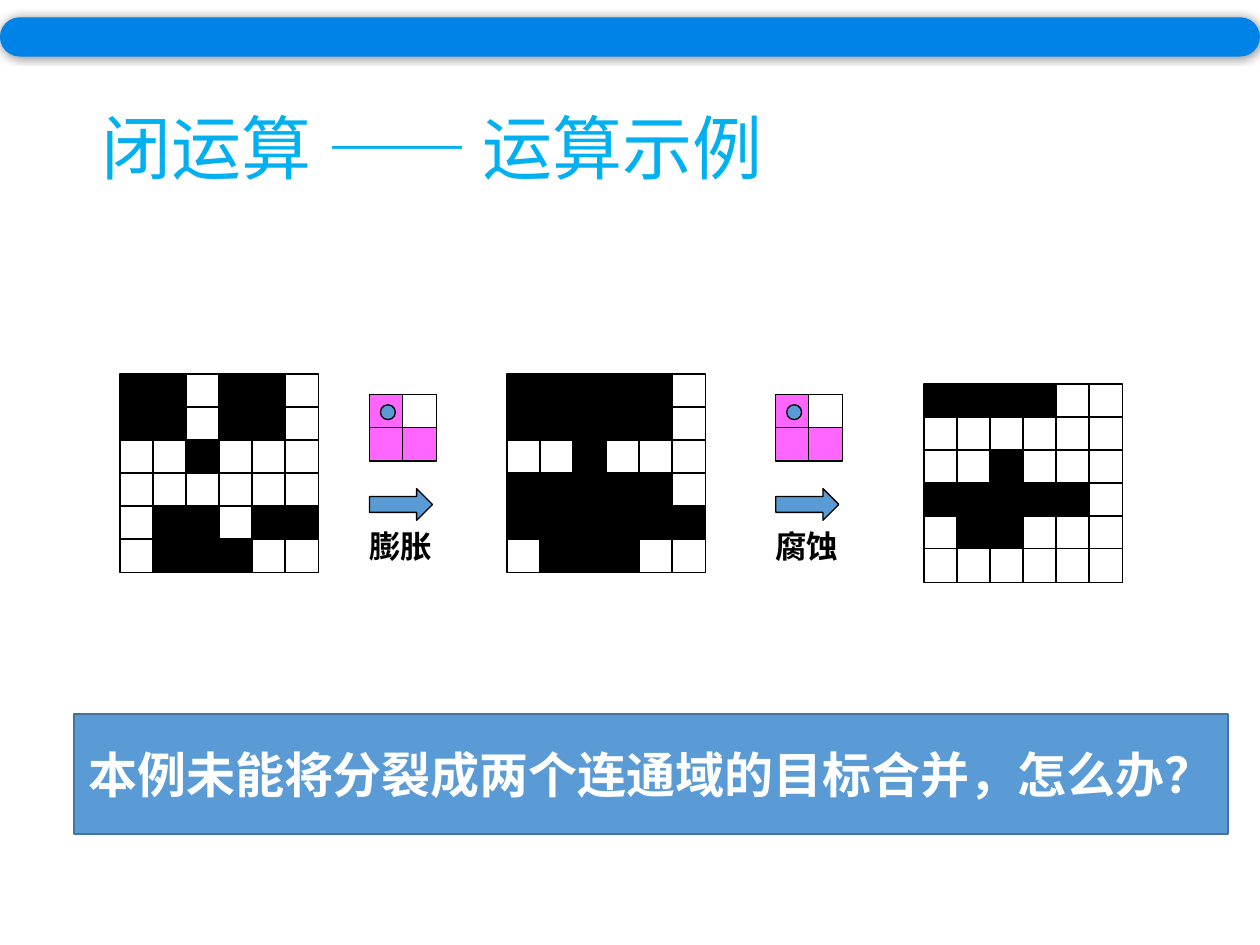
from lxml import etree
from pptx import Presentation
from pptx.dml.color import RGBColor
from pptx.enum.shapes import MSO_SHAPE
from pptx.enum.text import MSO_ANCHOR, MSO_AUTO_SIZE, PP_ALIGN
from pptx.oxml.ns import qn
from pptx.util import Cm, Pt

RECT, ROUND = MSO_SHAPE.RECTANGLE, MSO_SHAPE.ROUNDED_RECTANGLE
OVAL, ARROW = MSO_SHAPE.OVAL, MSO_SHAPE.RIGHT_ARROW
MIDDLE, LEFT, CENTER = MSO_ANCHOR.MIDDLE, PP_ALIGN.LEFT, PP_ALIGN.CENTER
NO_FIT = MSO_AUTO_SIZE.NONE

SANS, SERIF = "Noto Sans CJK SC", "Times New Roman"
BLACK, WHITE, BLUE, PINK = "000000", "FFFFFF", "5B9BD5", "FF66FF"
CELL, PITCH = 0.68, 0.665
COLORS = {"#": BLACK, ".": WHITE, "P": PINK}

SOURCE = ["##.##.", "##.##.", "..#...", "......", ".##.##", ".###.."]
DILATED = ["#####.", "#####.", "..#...", "#####.", "######", ".###.."]
CLOSED = ["####..", "......", "..#...", "#####.", ".##...", "......"]
KERNEL = ["P.", "PP"]


def rgb(color):
    """Turn a hex string into a colour."""
    return RGBColor.from_string(color)


def add_box(shapes, kind, x, y, w, h, fill, line=None, weight=0.75):
    """Add a flat preset shape, measured in centimetres."""
    s = shapes.add_shape(kind, Cm(x), Cm(y), Cm(w), Cm(h))
    s.shadow.inherit = False
    s.fill.solid()
    s.fill.fore_color.rgb = rgb(fill)
    if line:
        s.line.color.rgb = rgb(line)
        s.line.width = Pt(weight)
    else:
        s.line.fill.background()
    return s


def set_text(s, text, size, color, font, bold=False, align=LEFT):
    """Write one formatted line into a shape."""
    tf = s.text_frame
    tf.text = text
    tf.word_wrap = True
    p = tf.paragraphs[0]
    p.alignment = align
    r = p.runs[0]
    r.font.size = Pt(size)
    r.font.bold = bold
    r.font.name = font
    r.font.color.rgb = rgb(color)
    ea = etree.SubElement(r.font._element, qn("a:ea"))
    ea.set("typeface", SANS)


def add_title(slide, text, x, y, w, h):
    """Place and format the slide title."""
    s = slide.shapes.title
    s.left, s.top, s.width, s.height = Cm(x), Cm(y), Cm(w), Cm(h)
    set_text(s, text, 40, "00B0F0", SANS)
    s.text_frame.auto_size = NO_FIT
    s.text_frame.vertical_anchor = MIDDLE
    s.text_frame.paragraphs[0].line_spacing = 0.9


def add_cells(shapes, rows, x, y):
    """Draw a pixel pattern with its top left corner at x, y."""
    for i, row in enumerate(rows):
        for j, mark in enumerate(row):
            add_box(shapes, RECT, x + j * PITCH, y + i * PITCH,
                    CELL, CELL, COLORS[mark], BLACK)


def add_grid(slide, rows, x, y):
    """Add a pixel pattern as a group."""
    add_cells(slide.shapes.add_group_shape().shapes, rows, x, y)


def add_step(slide, caption, x, y):
    """Add a group of structuring element, arrow and caption."""
    shapes = slide.shapes.add_group_shape().shapes
    add_box(shapes, ARROW, x, y + 1.9, 1.27, 0.64, BLUE, BLACK)
    add_cells(shapes, KERNEL, x, y)
    add_box(shapes, OVAL, x + 0.22, y + 0.21, 0.3, 0.3, BLUE, BLACK)
    s = shapes.add_textbox(Cm(x - 0.26), Cm(y + 2.54), Cm(2.11), Cm(1.02))
    set_text(s, caption, 18, BLACK, SERIF, bold=True)


def add_banner(slide, x, y, w, h):
    """Add the rounded bar with a soft glow-like shadow."""
    s = add_box(slide.shapes, ROUND, x, y, w, h, "0083E6")
    s.adjustments[0] = 0.5
    effects = s._element.spPr.find(qn("a:effectLst"))
    shadow = etree.SubElement(effects, qn("a:outerShdw"),
                              blurRad=str(Pt(5)), dist="0", dir="0")
    color = etree.SubElement(shadow, qn("a:srgbClr"), val=BLACK)
    etree.SubElement(color, qn("a:alpha"), val="40000")


def add_question(slide, text, x, y, w, h):
    """Add the closing question in a filled box."""
    s = add_box(slide.shapes, RECT, x, y, w, h, BLUE, "43739E", 1)
    set_text(s, text, 28, WHITE, SERIF, bold=True, align=CENTER)
    s.text_frame.vertical_anchor = MIDDLE


def main():
    """Build the slide and save it."""
    prs = Presentation()
    prs.slide_width, prs.slide_height = Cm(25.4), Cm(19.05)
    slide = prs.slides.add_slide(prs.slide_layouts[5])
    add_title(slide, "闭运算 —— 运算示例", 1.8, 1.85, 18.03, 2.44)
    add_grid(slide, SOURCE, 2.42, 7.54)
    add_step(slide, "膨胀", 7.45, 7.95)
    add_grid(slide, DILATED, 10.22, 7.54)
    add_step(slide, "腐蚀", 15.64, 7.95)
    add_grid(slide, CLOSED, 18.63, 7.74)
    add_banner(slide, 0, 0.35, 25.4, 0.79)
    add_question(slide, "本例未能将分裂成两个连通域的目标合并，怎么办？",
                 1.49, 14.4, 23.27, 2.41)
    prs.save("out.pptx")


if __name__ == "__main__":
    main()
